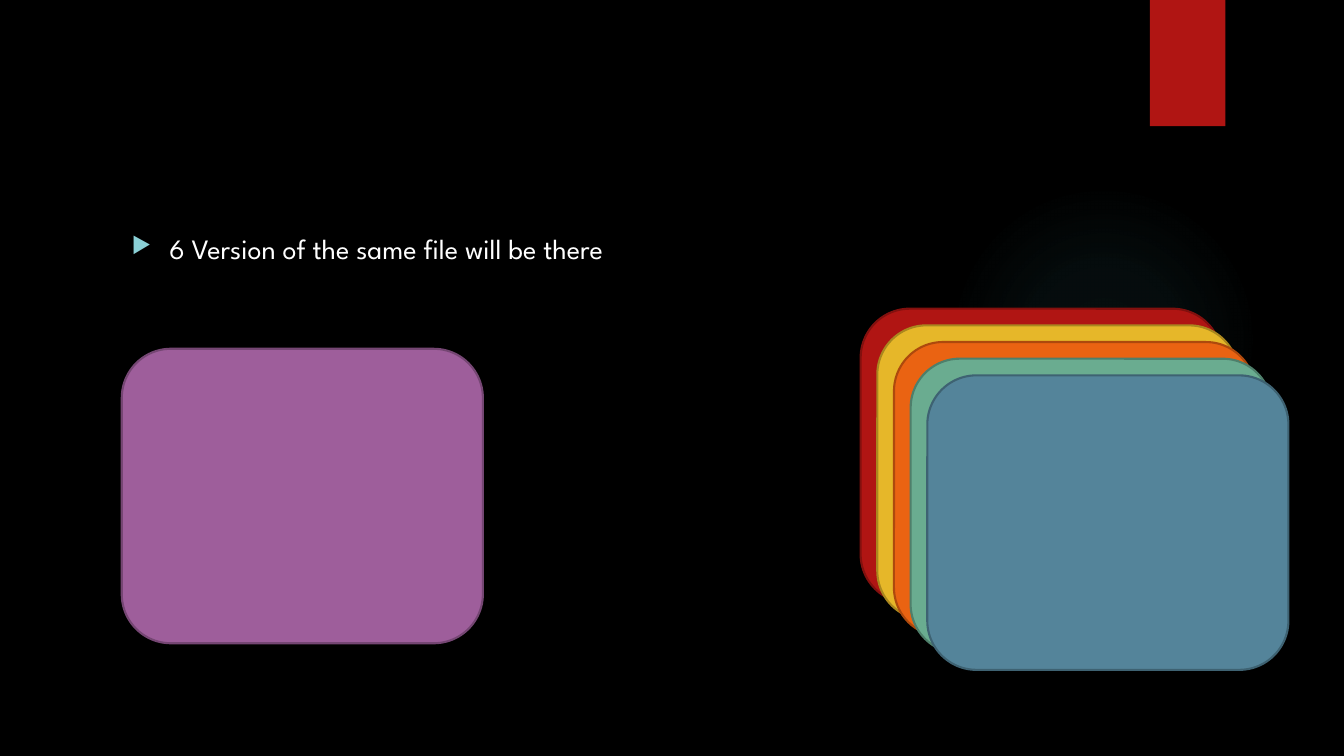
from lxml import etree
from pptx import Presentation
from pptx.dml.color import RGBColor
from pptx.enum.shapes import MSO_SHAPE
from pptx.enum.text import MSO_ANCHOR, PP_ALIGN
from pptx.oxml import parse_xml
from pptx.oxml.ns import nsdecls, qn
from pptx.util import Cm, Pt

ELLIPSE = MSO_SHAPE.OVAL
RECTANGLE = MSO_SHAPE.RECTANGLE
ROUNDED = MSO_SHAPE.ROUNDED_RECTANGLE
TOP = MSO_ANCHOR.TOP
LEFT = PP_ALIGN.LEFT

COLOURS = {
    "background": "000000",
    "text": "FFFFFF",
    "bullet": "8AD0D6",
    "glow": "50B9C1",
    "red": "B01513",
    "red line": "82100E",
    "yellow": "E6B729",
    "yellow line": "AA871E",
    "orange": "EA6312",
    "orange line": "AD490D",
    "green": "6AAC90",
    "green line": "4E7F6B",
    "blue": "54849A",
    "blue line": "3E6272",
    "purple": "9E5E9B",
    "purple line": "754673",
}
VERSIONS = ["red", "yellow", "orange", "green", "blue"]
CARD_SIZE = (9.1, 7.42)
STACK_LEFT, STACK_TOP, STACK_STEP = 21.69, 7.78, 0.42
GLOW_STOPS = [(0, 7), (36, 6), (69, 0)]  # position and opacity in percent


def colour(name):
    return RGBColor.from_string(COLOURS[name])


class SlideBuilder:
    font = "League Spartan"
    line_width = 1.5

    def __init__(self, slide):
        self.slide = slide
        fill = slide.background.fill
        fill.solid()
        fill.fore_color.rgb = colour("background")

    def shape(self, kind, left, top, width, height, fill=None, line=None):
        shape = self.slide.shapes.add_shape(
            kind, Cm(left), Cm(top), Cm(width), Cm(height))
        shape.shadow.inherit = False
        if fill:
            shape.fill.solid()
            shape.fill.fore_color.rgb = colour(fill)
        if line:
            shape.line.color.rgb = colour(line)
            shape.line.width = Pt(self.line_width)
        else:
            shape.line.fill.background()
        return shape

    def card(self, left, top, name):
        return self.shape(ROUNDED, left, top, *CARD_SIZE, name, f"{name} line")

    def glow(self, left, top, diameter):
        """Draw a circle that fades out from its centre."""
        shape = self.shape(ELLIPSE, left, top, diameter, diameter)
        stops = "".join(
            f'<a:gs pos="{position * 1000}"><a:srgbClr val="{COLOURS["glow"]}">'
            f'<a:alpha val="{opacity * 1000}"/></a:srgbClr></a:gs>'
            for position, opacity in GLOW_STOPS)
        gradient = parse_xml(
            f'<a:gradFill {nsdecls("a")}><a:gsLst>{stops}</a:gsLst>'
            '<a:path path="circle"><a:fillToRect l="50000" t="50000" '
            'r="50000" b="50000"/></a:path></a:gradFill>')
        shape.element.spPr.find(qn("a:prstGeom")).addnext(gradient)

    def bullet_text(self, text, left, top, width, height, size=20, fill="text"):
        box = self.slide.shapes.add_textbox(
            Cm(left), Cm(top), Cm(width), Cm(height))
        frame = box.text_frame
        frame.word_wrap = True
        frame.vertical_anchor = TOP
        paragraph = frame.paragraphs[0]
        paragraph.alignment = LEFT
        paragraph.space_before = Pt(10)
        run = paragraph.add_run()
        run.text = text
        run.font.name = self.font
        run.font.size = Pt(size)
        run.font.color.rgb = colour(fill)
        self.add_bullet(paragraph)

    def add_bullet(self, paragraph, indent=0.95):
        properties = paragraph._p.get_or_add_pPr()
        properties.set("marL", str(Cm(indent)))
        properties.set("indent", str(-Cm(indent)))
        bullet_colour = etree.SubElement(properties, qn("a:buClr"))
        etree.SubElement(bullet_colour, qn("a:srgbClr"), val=COLOURS["bullet"])
        etree.SubElement(properties, qn("a:buSzPct"), val="80000")
        etree.SubElement(properties, qn("a:buChar"), char="▶")


def main():
    presentation = Presentation()
    presentation.slide_width = Cm(33.87)
    presentation.slide_height = Cm(19.05)
    slide = presentation.slides.add_slide(presentation.slide_layouts[6])
    builder = SlideBuilder(slide)

    builder.glow(23.9, 4.65, 7.82)
    builder.shape(RECTANGLE, 28.98, 0, 1.9, 3.18, "red")
    builder.bullet_text("6 Version of the same file will be there",
                        3.07, 5.72, 24.84, 11.66)
    for index, name in enumerate(VERSIONS):
        offset = index * STACK_STEP
        builder.card(STACK_LEFT + offset, STACK_TOP + offset, name)
    builder.card(3.07, 8.79, "purple")

    presentation.save("out.pptx")


if __name__ == "__main__":
    main()
